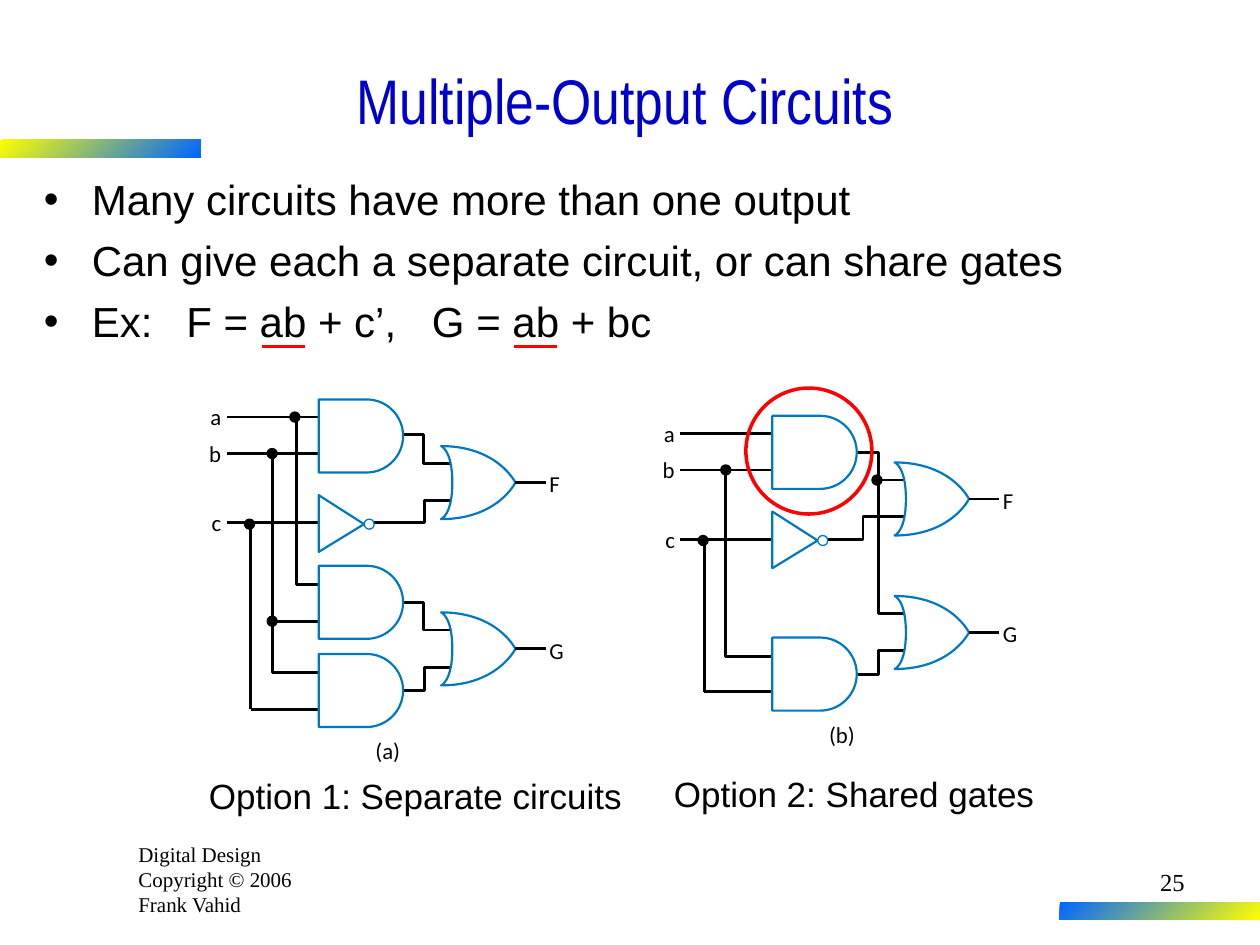
"""Build the slide that compares separate and shared two-output logic circuits."""
from dataclasses import dataclass
from typing import Any

import pptx
import pptx.dml.color
import pptx.enum.shapes
import pptx.enum.text
import pptx.oxml.ns
import pptx.util
from lxml import etree

Inches = pptx.util.Inches
RGBColor = pptx.dml.color.RGBColor
Shape = pptx.enum.shapes.MSO_SHAPE
Align = pptx.enum.text.PP_ALIGN
Anchor = pptx.enum.text.MSO_ANCHOR
qn = pptx.oxml.ns.qn
Point = tuple[float, float]

BLACK = RGBColor(0, 0, 0)
WHITE = RGBColor(255, 255, 255)
RED = RGBColor(255, 0, 0)
TITLE_BLUE = RGBColor(0, 0, 0xCC)
GATE_BLUE = RGBColor(0, 0x78, 0xC1)
YELLOW = RGBColor(255, 255, 0)
BAR_BLUE = RGBColor(0, 0x66, 255)

WIRE = 1.62
AND_X, OR_X = 2.53, 3.5
GATE_H = 0.58
MID = GATE_H / 2
INPUTS = (("a", 1.67, 0.1, 3.31), ("b", 1.66, 0.11, 3.6), ("c", 1.68, 0.09, 4.15))
AND_CURVE = ((0, GATE_H), *[(0.38, GATE_H)] * 3,
             (0.54, GATE_H), (0.67, 0.45), (0.67, MID),
             (0.67, 0.13), (0.54, 0), (0.38, 0), *[(0, 0)] * 3)
OR_CURVE = ((0.59, MID), (0.59, MID), (0.45, GATE_H), (0, GATE_H),
            (0, GATE_H), (0.09, 0.55), (0.09, MID),
            (0.09, 0.03), (0, 0), (0, 0),
            (0.45, 0), (0.59, MID), (0.59, MID))


@dataclass
class Circuit:
    name: str
    dx: float
    dy: float
    and_tops: tuple[float, ...]
    or_tops: dict[str, float]
    wires: tuple[tuple[Point, ...], ...]
    dots: tuple[Point, ...]
    caption_top: float


CIRCUITS = (
    Circuit(
        "(a)", 0, 0, (3.17, 4.49, 5.19), {"F": 3.54, "G": 4.86},
        (((2.35, 3.31), (2.35, 4.64), (AND_X, 4.64)),
         ((2.16, 3.6), (2.16, 5.34), (AND_X, 5.34)),
         ((1.99, 5.63), (1.99, 4.15)),
         ((1.99, 5.63), (AND_X, 5.63)),
         ((2.16, 4.93), (AND_X, 4.93)),
         ((3.2, 3.45), (3.36, 3.45), (3.36, 3.68), (3.58, 3.68)),
         ((2.91, 4.15), (3.37, 4.15), (3.37, 3.97), (3.58, 3.97)),
         ((3.2, 4.78), (3.36, 4.78), (3.36, 5), (3.58, 5)),
         ((3.2, 5.48), (3.37, 5.48), (3.37, 5.3), (3.58, 5.3))),
        ((2.34, 3.31), (2.16, 3.6), (1.98, 4.16), (2.16, 4.93)), 5.85),
    Circuit(
        "(b)", 3.6, 0.13, (3.17, 4.93), {"F": 3.54, "G": 4.6},
        (((2.16, 3.6), (2.16, 5.08), (AND_X, 5.08)),
         ((1.99, 5.36), (1.99, 4.15)),
         ((1.99, 5.36), (AND_X, 5.36)),
         ((3.2, 3.46), (3.37, 3.46), (3.37, 4.74), (3.58, 4.74)),
         ((3.36, 3.68), (3.58, 3.68)),
         ((2.92, 4.15), (3.25, 4.15), (3.25, 3.97), (3.58, 3.97)),
         ((3.2, 5.22), (3.37, 5.22), (3.37, 5.03), (3.58, 5.03))),
        ((2.16, 3.6), (3.36, 3.68), (1.98, 4.16)), 5.59),
)


def write(tf: Any, text: str, *, font: str, size: float, color: RGBColor = BLACK,
          align: Any = Align.LEFT, anchor: Any = Anchor.TOP, wrap: bool = True,
          inset: Point = (0.1, 0.05), bullet: bool = False, before: float = 0,
          tabs: tuple[float, ...] = ()) -> None:
    tf.word_wrap, tf.vertical_anchor = wrap, anchor
    tf.margin_left = tf.margin_right = Inches(inset[0])
    tf.margin_top = tf.margin_bottom = Inches(inset[1])
    for i, line_text in enumerate(text.split("\n")):
        p = tf.add_paragraph() if i else tf.paragraphs[0]
        pPr = p._p.get_or_add_pPr()
        if bullet:
            pPr.set("marL", str(Inches(0.38)))
            pPr.set("indent", str(-Inches(0.38)))
            etree.SubElement(pPr, qn("a:buFont"), typeface=font)
            etree.SubElement(pPr, qn("a:buChar"), char="•")
        if tabs:
            tab_list = etree.SubElement(pPr, qn("a:tabLst"))
            for stop in tabs:
                etree.SubElement(tab_list, qn("a:tab"), pos=str(Inches(stop)), algn="l")
        p.alignment = align
        p.space_before = pptx.util.Pt(before if i else 0)
        r = p.add_run()
        r.text = line_text
        r.font.name, r.font.size = font, pptx.util.Pt(size)
        r.font.color.rgb = color


def text_box(shapes: Any, box: tuple[float, ...], text: str, **fmt: Any) -> None:
    write(shapes.add_textbox(*map(Inches, box)).text_frame, text, **fmt)


def label(shapes: Any, x: float, y: float, w: float, text: str) -> None:
    text_box(shapes, (x, y, w, 0.22), text, font="Calibri", size=13, wrap=False, inset=(0, 0))


def paint(sp: Any, fill: RGBColor | None, line_color: RGBColor, width: float) -> None:
    sp.shadow.inherit = False
    if fill is None:
        sp.fill.background()
    else:
        sp.fill.solid()
        sp.fill.fore_color.rgb = fill
    sp.line.color.rgb, sp.line.width = line_color, pptx.util.Pt(width)


def line(shapes: Any, start: Point, end: Point, color: RGBColor, width: float) -> None:
    c = shapes.add_connector(pptx.enum.shapes.MSO_CONNECTOR.STRAIGHT,
                             *map(Inches, start + end))
    c.line.color.rgb, c.line.width = color, pptx.util.Pt(width)
    etree.SubElement(c._element.spPr, qn("a:effectLst"))


def outline(shapes: Any, points: list[Point], fill: RGBColor | None, color: RGBColor,
            width: float) -> Any:
    start, *rest = [(Inches(x), Inches(y)) for x, y in points]
    builder = shapes.build_freeform(*start)
    builder.add_line_segments(rest, close=fill is not None)
    sp = builder.convert_to_shape()
    paint(sp, fill, color, width)
    return sp


def gate(shapes: Any, x: float, y: float, curve: tuple[Point, ...]) -> None:
    points = [(x + px, y + py) for px, py in curve]
    sp = outline(shapes, points, WHITE, GATE_BLUE, 1.25)
    segments = list(sp._element.iter(qn("a:lnTo")))
    for i in range(0, len(curve) - 1, 3):
        cubic = etree.Element(qn("a:cubicBezTo"))
        segments[i].addprevious(cubic)
        for segment in segments[i:i + 3]:
            cubic.append(segment[0])
            segment.getparent().remove(segment)


def circle(shapes: Any, x: float, y: float, d: float, fill: RGBColor | None,
           color: RGBColor, width: float = 0.75) -> None:
    paint(shapes.add_shape(Shape.OVAL, Inches(x - d / 2), Inches(y - d / 2),
                           Inches(d), Inches(d)), fill, color, width)


def draw_circuit(shapes: Any, c: Circuit) -> None:
    def at(x: float, y: float) -> Point:
        return x + c.dx, y + c.dy

    for name, x, w, y in INPUTS:
        line(shapes, at(1.8, y), at(AND_X, y), BLACK, WIRE)
        label(shapes, *at(x, y - 0.11), w, name)
    for wire in c.wires:
        points = [at(*point) for point in wire]
        if len(points) == 2:
            line(shapes, *points, BLACK, WIRE)
        else:
            outline(shapes, points, None, BLACK, WIRE)
    for dot in c.dots:
        circle(shapes, *at(*dot), 0.08, BLACK, BLACK)
    inverter = [at(AND_X, 4.38), at(2.89, 4.16), at(AND_X, 3.93)]
    outline(shapes, inverter, WHITE, GATE_BLUE, 1.25)
    circle(shapes, *at(2.93, 4.16), 0.08, WHITE, GATE_BLUE)
    for top in c.and_tops:
        gate(shapes, *at(AND_X, top), AND_CURVE)
    for name, top in c.or_tops.items():
        gate(shapes, *at(OR_X, top), OR_CURVE)
        line(shapes, at(4.09, top + MID), at(4.33, top + MID), BLACK, WIRE)
        label(shapes, *at(4.36, top + 0.19), 0.09 if name == "F" else 0.13, name)
    label(shapes, *at(2.98, c.caption_top), 0.24, c.name)


def color_bar(shapes: Any, x: float, y: float, colors: tuple[RGBColor, RGBColor]) -> None:
    sp = shapes.add_shape(Shape.RECTANGLE, *map(Inches, (x, y, 1.59, 0.14)))
    sp.shadow.inherit = False
    sp.line.fill.background()
    sp.fill.gradient()
    sp.fill.gradient_angle = 315
    for stop, color in zip(sp.fill.gradient_stops, colors):
        stop.color.rgb = color


def main() -> None:
    prs = pptx.Presentation()
    prs.slide_width, prs.slide_height = Inches(10), Inches(7.5)
    s = prs.slides.add_slide(prs.slide_layouts[5])
    title = s.shapes.title
    title.left, title.top, title.width, title.height = map(Inches, (0.25, 0.33, 9.42, 0.92))
    write(title.text_frame, "Multiple-Output Circuits", font="Arial Narrow", size=36,
          color=TITLE_BLUE, align=Align.CENTER, anchor=Anchor.MIDDLE)
    color_bar(s.shapes, 0, 1.11, (YELLOW, BAR_BLUE))
    color_bar(s.shapes, 8.41, 7.16, (BAR_BLUE, YELLOW))
    text_box(s.shapes, (1, 6.63, 1.67, 0.7), "Digital Design\nCopyright © 2006\nFrank Vahid",
             font="Times New Roman", size=12)
    text_box(s.shapes, (7.42, 6.83, 2.08, 0.5), "25", font="Times New Roman", size=14,
             align=Align.RIGHT)
    text_box(s.shapes, (0.25, 1.33, 9.42, 5.33),
             "Many circuits have more than one output\n"
             "Can give each a separate circuit, or can share gates\n"
             "Ex:\tF = ab + c’,\tG = ab + bc",
             font="Arial", size=24, bullet=True, before=6, inset=(0.1, 0.05),
             tabs=(1.13, 3.08))
    for circuit in CIRCUITS:
        draw_circuit(s.shapes.add_group_shape().shapes, circuit)
    for x, y, w, option in ((1.56, 6.1, 3.48, "Option 1: Separate circuits"),
                            (5.25, 6.08, 3.06, "Option 2: Shared gates")):
        text_box(s.shapes, (x, y, w, 0.44), option, font="Arial", size=20, wrap=False)
    for x in (2.08, 4.08):
        line(s.shapes, (x, 2.75), (x + 0.34, 2.75), RED, 2)
    circle(s.shapes, 6.42, 3.58, 1, None, RED, 2)
    prs.save("out.pptx")


if __name__ == "__main__":
    main()
